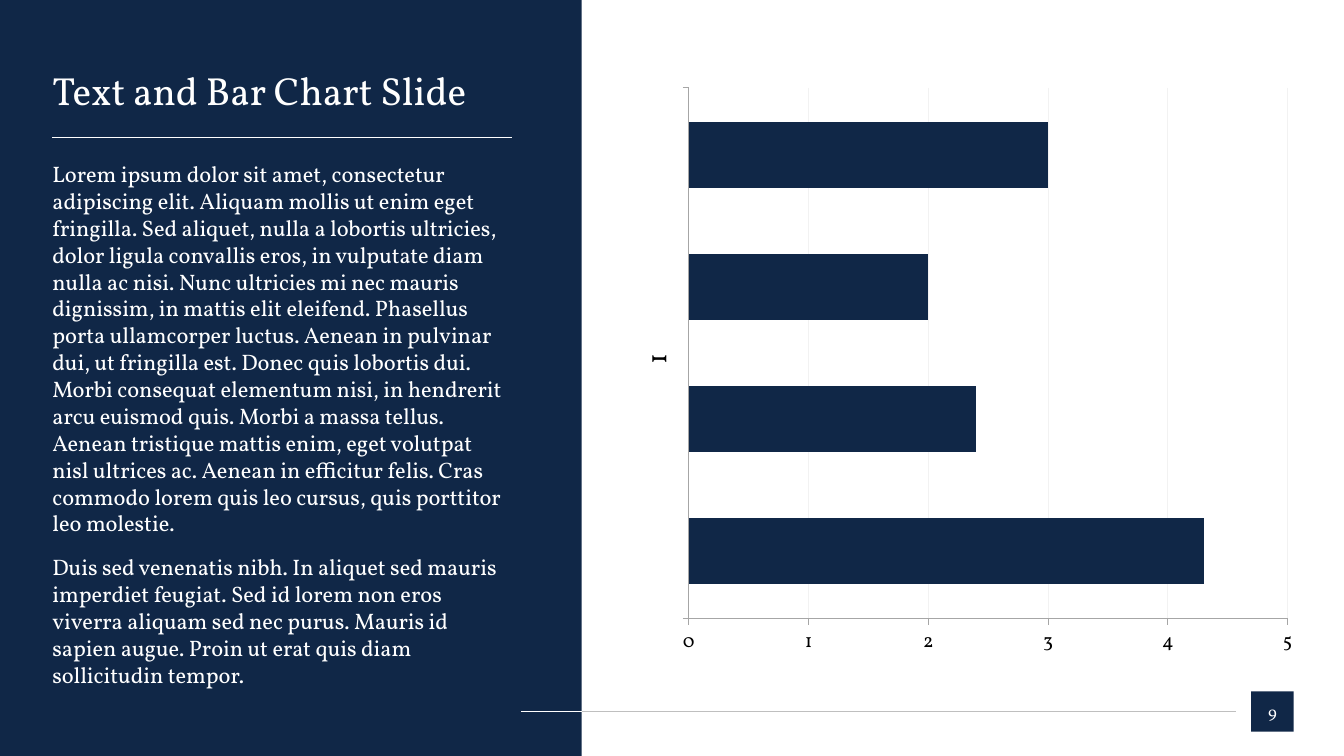
from dataclasses import dataclass

from lxml.etree import SubElement
from pptx import Presentation
from pptx.chart.data import CategoryChartData
from pptx.dml.color import RGBColor
from pptx.enum.chart import XL_CHART_TYPE as ChartType, XL_TICK_MARK as Tick
from pptx.enum.shapes import MSO_CONNECTOR as Connector, MSO_SHAPE as Shape
from pptx.enum.text import MSO_ANCHOR as Anchor, MSO_AUTO_SIZE as AutoSize, PP_ALIGN as Align
from pptx.oxml import parse_xml
from pptx.oxml.ns import nsdecls, qn
from pptx.util import Inches, Pt


@dataclass(frozen=True)
class Theme:
    font: str = "Vollkorn"
    navy: str = "102747"
    white: str = "FFFFFF"
    black: str = "000000"
    rule: str = "BFBFBF"
    axis: str = "A6A6A6"
    grid: str = "F2F2F2"
    title: int = 28
    body: int = 16
    number: int = 12
    value_label: int = 14
    category_label: int = 20


THEME = Theme()
WIDTH, HEIGHT = 13.33, 7.5
PANEL_W = 5.77
FOOTER_Y = 7.06

TITLE = "Text and Bar Chart Slide"
BODY = [
    "Lorem ipsum dolor sit amet, consectetur adipiscing elit. Aliquam mollis ut enim eget "
    "fringilla. Sed aliquet, nulla a lobortis ultricies, dolor ligula convallis eros, in "
    "vulputate diam nulla ac nisi. Nunc ultricies mi nec mauris dignissim, in mattis elit "
    "eleifend. Phasellus porta ullamcorper luctus. Aenean in pulvinar dui, ut fringilla est. "
    "Donec quis lobortis dui. Morbi consequat elementum nisi, in hendrerit arcu euismod quis. "
    "Morbi a massa tellus. Aenean tristique mattis enim, eget volutpat nisl ultrices ac. "
    "Aenean in efficitur felis. Cras commodo lorem quis leo cursus, quis porttitor leo molestie.",
    "Duis sed venenatis nibh. In aliquet sed mauris imperdiet feugiat. Sed id lorem non eros "
    "viverra aliquam sed nec purus. Mauris id sapien augue. Proin ut erat quis diam "
    "sollicitudin tempor.",
]
SERIES = [("Series 1", 4.3), ("Series 2", 2.4), ("Series 3", 2), ("Series 4", 3)]


def rgb(color):
    return RGBColor.from_string(color)


def set_font(font, size, color):
    font.name, font.size = THEME.font, Pt(size)
    font.color.rgb = rgb(color)


def set_line(line, color, width):
    line.color.rgb = rgb(color)
    line.width = Pt(width)


def write(tf, *texts, size, color=THEME.white, align=Align.LEFT, anchor=Anchor.TOP,
          spacing=None, after=0):
    """Fill a text frame with one paragraph per text, without insets."""
    tf.word_wrap = True
    tf.vertical_anchor = anchor
    tf.margin_left = tf.margin_right = tf.margin_top = tf.margin_bottom = 0
    for i, text in enumerate(texts):
        p = tf.add_paragraph() if i else tf.paragraphs[0]
        p.alignment, p.line_spacing, p.space_after = align, spacing, Pt(after)
        r = p.add_run()
        r.text = text
        set_font(r.font, size, color)


def add_block(s, x, y, w, h):
    sp = s.shapes.add_shape(Shape.RECTANGLE, Inches(x), Inches(y), Inches(w), Inches(h))
    sp.shadow.inherit = False
    sp.fill.solid()
    sp.fill.fore_color.rgb = rgb(THEME.navy)
    sp.line.fill.background()
    return sp


def add_rule(s, x1, x2, y, color):
    cx = s.shapes.add_connector(Connector.STRAIGHT, Inches(x1), Inches(y), Inches(x2), Inches(y))
    set_line(cx.line, color, 0.5)
    SubElement(cx._element.spPr, qn("a:effectLst"))


def add_text_panel(s, x, y, w, h):
    panel = add_block(s, x, y, w, h)
    title = s.shapes.title
    title._element.addprevious(panel._element)  # keep the panel behind the title
    left, top, text_w = x + 0.52, y + 0.71, w - 1.21
    title.left, title.top = Inches(left), Inches(top)
    title.width, title.height = Inches(text_w), Inches(0.43)
    write(title.text_frame, TITLE, size=THEME.title, anchor=Anchor.MIDDLE, spacing=0.9)
    title.text_frame.auto_size = AutoSize.SHAPE_TO_FIT_TEXT
    add_rule(s, left, left + text_w, top + 0.65, THEME.white)
    body = s.shapes.add_textbox(Inches(left), Inches(top + 0.88), Inches(text_w), Inches(4.96))
    write(body.text_frame, *BODY, size=THEME.body, after=12)


def add_footer(s, x, y, w, number):
    """Draw the rule, white over the panel and grey beyond it, and the page number."""
    box_w, box_h = 0.42, 0.4
    box_x = x + w - box_w
    add_rule(s, PANEL_W, box_x - 0.15, y, THEME.rule)
    add_rule(s, x, PANEL_W, y, THEME.white)
    box = add_block(s, box_x, y - box_h / 2, box_w, box_h)
    write(box.text_frame, number, size=THEME.number, align=Align.CENTER, anchor=Anchor.MIDDLE)


def format_axis(axis, size):
    axis.major_tick_mark, axis.minor_tick_mark = Tick.OUTSIDE, Tick.NONE
    set_font(axis.tick_labels.font, size, THEME.black)
    set_line(axis.format.line, THEME.axis, 0.75)


def set_plot_area(chart, x, y, w, h):
    """Fix the inner plot area, in fractions of the chart."""
    plot_area = chart._chartSpace.chart.plotArea
    for old in plot_area.findall(qn("c:layout")):
        plot_area.remove(old)
    sizes = "".join(f'<c:{tag} val="{val}"/>' for tag, val in zip("xywh", (x, y, w, h)))
    plot_area.insert(0, parse_xml(
        f'<c:layout {nsdecls("c")}><c:manualLayout><c:layoutTarget val="inner"/>'
        f'<c:xMode val="edge"/><c:yMode val="edge"/>{sizes}</c:manualLayout></c:layout>'))


def add_bar_chart(s, x, y, w, h):
    data = CategoryChartData()
    data.categories = ["1"]
    for name, value in SERIES:
        data.add_series(name, [value])
    chart = s.shapes.add_chart(ChartType.BAR_CLUSTERED, Inches(x), Inches(y),
                               Inches(w), Inches(h), data).chart
    chart.has_title = chart.has_legend = False
    set_font(chart.font, 10, THEME.black)

    plot = chart.plots[0]
    plot.gap_width, plot.overlap, plot.vary_by_categories = 104, -100, False
    for series in plot.series:
        series.format.fill.solid()
        series.format.fill.fore_color.rgb = rgb(THEME.navy)

    cat, val = chart.category_axis, chart.value_axis
    format_axis(cat, THEME.category_label)
    cat._element.txPr.find(qn("a:bodyPr")).set("rot", "-5400000")
    format_axis(val, THEME.value_label)
    val.minimum_scale, val.maximum_scale, val.major_unit = 0, 5, 1
    val.tick_labels.number_format = "General"
    val.tick_labels.number_format_is_linked = False
    val.has_major_gridlines = True
    set_line(val.major_gridlines.format.line, THEME.grid, 0.75)
    set_plot_area(chart, 0.072, 0.028, 0.919, 0.903)


def main():
    prs = Presentation()
    prs.slide_width, prs.slide_height = Inches(WIDTH), Inches(HEIGHT)
    s = prs.slides.add_slide(prs.slide_layouts[5])
    add_text_panel(s, 0, 0, PANEL_W, HEIGHT)
    add_footer(s, 5.17, FOOTER_Y, 7.66, "9")
    add_bar_chart(s, 6.34, 0.71, 6.49, 5.83)
    prs.save("out.pptx")


if __name__ == "__main__":
    main()
